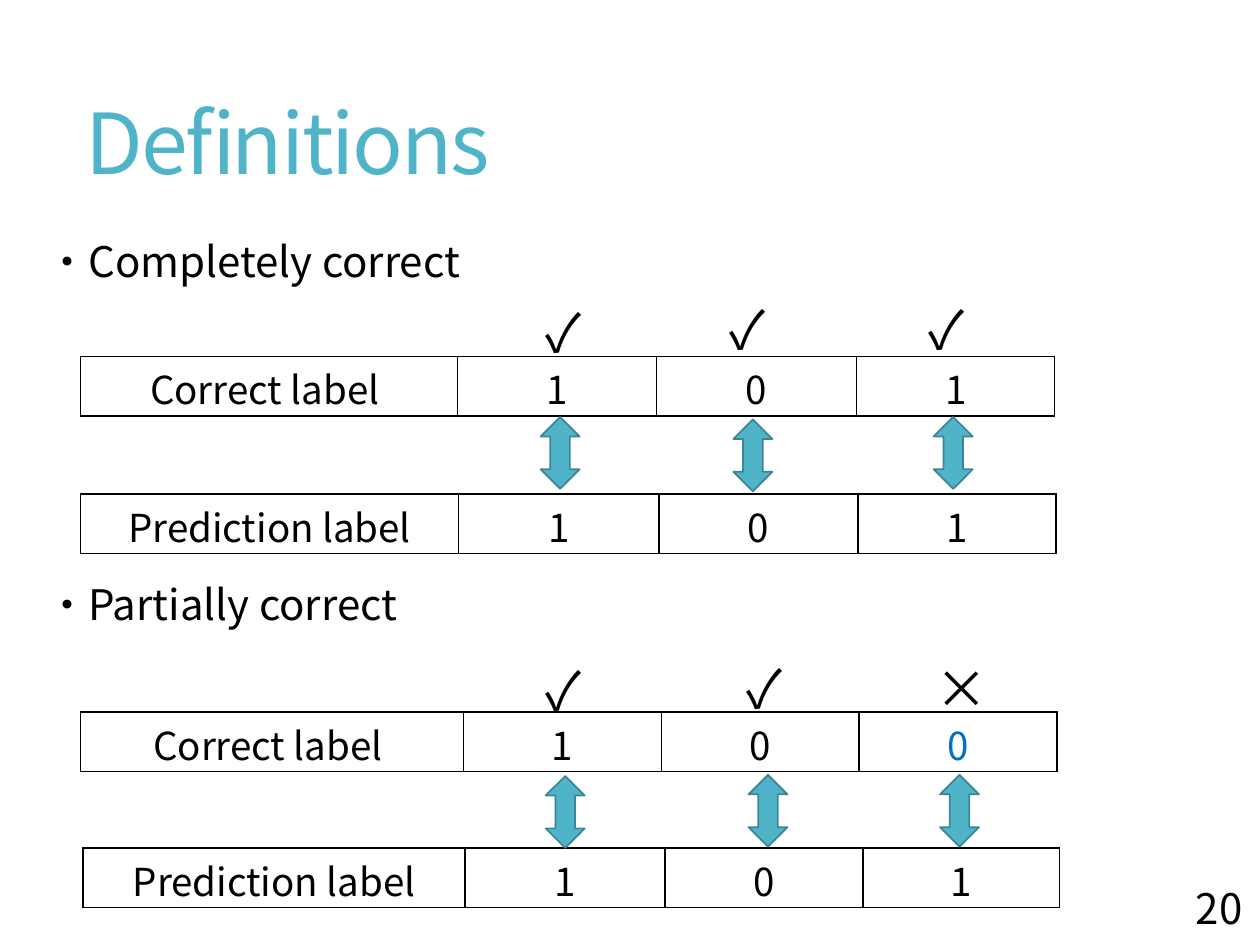
from dataclasses import dataclass

from lxml import etree
from pptx import Presentation
from pptx.dml.color import RGBColor
from pptx.enum.shapes import MSO_SHAPE
from pptx.enum.text import MSO_ANCHOR, MSO_AUTO_SIZE, PP_ALIGN
from pptx.oxml.ns import qn
from pptx.util import Inches, Pt

FONT = "Noto Sans CJK JP"
BLACK, TEAL, DARK_TEAL, BLUE = "000000", "50B4C8", "3B8594", "0070C0"
LEFT, CENTER, RIGHT = PP_ALIGN.LEFT, PP_ALIGN.CENTER, PP_ALIGN.RIGHT
TOP, MIDDLE = MSO_ANCHOR.TOP, MSO_ANCHOR.MIDDLE
GROW = MSO_AUTO_SIZE.SHAPE_TO_FIT_TEXT
NO_FIT = MSO_AUTO_SIZE.NONE
DOUBLE_ARROW = MSO_SHAPE.LEFT_RIGHT_ARROW
ROW_HEIGHT = 0.47
MARK_SIZE = (0.57, 0.61)
ARROW_SIZE = (0.57, 0.31)


@dataclass
class LabelRow:
    """A one-row table of a label and its binary values."""
    left: float
    top: float
    columns: tuple[float, ...]
    texts: tuple[str, ...]
    last_color: str = BLACK


@dataclass
class Mark:
    """A sign above a column of labels."""
    left: float
    top: float
    sign: str = "✓"


LABEL_ROWS = (
    LabelRow(0.64, 2.83, (2.99, 1.58, 1.59, 1.57), ("Correct label ", "1", "0", "1")),
    LabelRow(0.64, 3.92, (3.0, 1.59, 1.58, 1.57), ("Prediction label", "1", "0", "1")),
    LabelRow(0.64, 5.65, (3.04, 1.57, 1.57, 1.57), ("Correct label ", "1", "0", "0"), BLUE),
    LabelRow(0.66, 6.73, (3.03, 1.59, 1.57, 1.56), ("Prediction label", "1", "0", "1")),
)
MARKS = (
    Mark(4.23, 2.33), Mark(5.69, 2.31), Mark(7.27, 2.31),
    Mark(4.23, 5.17), Mark(5.83, 5.16), Mark(7.33, 5.16, "×"),
)
ARROWS = (
    (4.16, 3.44), (5.69, 3.46), (7.28, 3.44),
    (4.2, 6.29), (5.81, 6.28), (7.33, 6.28),
)


def rgb(color: str) -> RGBColor:
    """Turn a hex string into a colour."""
    return RGBColor.from_string(color)


def write_text(frame, text: str, *, size: float, color: str = BLACK,
               align=LEFT, gap: float = 0, line_spacing: float = 1.0,
               tracking: float = 0) -> None:
    """Write one paragraph per line, with a gap in points between them."""
    for index, line in enumerate(text.split("\n")):
        para = frame.add_paragraph() if index else frame.paragraphs[0]
        para.alignment = align
        para.line_spacing = line_spacing
        para.space_before = Pt(gap if index else 0)
        span = para.add_run()
        span.text = line
        span.font.name = FONT
        span.font.size = Pt(size)
        span.font.color.rgb = rgb(color)
        properties = span.font._element
        if tracking:
            properties.set("spc", str(round(tracking * 100)))
        east_asian = etree.SubElement(properties, qn("a:ea"))
        east_asian.set("typeface", FONT)


def add_text(page, place: tuple[float, ...], text: str, *, anchor=TOP,
             fit=NO_FIT, inset_top: float = 0.05, **text_format) -> None:
    """Add a wrapping text box."""
    box = page.shapes.add_textbox(*map(Inches, place))
    frame = box.text_frame
    frame.word_wrap = True
    frame.auto_size = fit
    frame.vertical_anchor = anchor
    frame.margin_top = Inches(inset_top)
    write_text(frame, text, **text_format)


def outline_cell(cell) -> None:
    """Give a cell a thin black border on every side."""
    properties = cell._tc.get_or_add_tcPr()
    for index, side in enumerate(("a:lnL", "a:lnR", "a:lnT", "a:lnB")):
        border = etree.Element(qn(side), w=str(Pt(1)))
        fill = etree.SubElement(border, qn("a:solidFill"))
        etree.SubElement(fill, qn("a:srgbClr"), val=BLACK)
        properties.insert(index, border)


def add_label_row(page, row: LabelRow) -> None:
    """Draw a row of labels as a table."""
    count = len(row.columns)
    place = (row.left, row.top, sum(row.columns), ROW_HEIGHT)
    table = page.shapes.add_table(1, count, *map(Inches, place)).table
    table.first_row = table.horz_banding = False
    for index, (width, text) in enumerate(zip(row.columns, row.texts)):
        table.columns[index].width = Inches(width)
        cell = table.cell(0, index)
        cell.margin_top, cell.margin_bottom = Inches(0.03), Inches(0)
        cell.fill.background()
        outline_cell(cell)
        color = row.last_color if index == count - 1 else BLACK
        write_text(cell.text_frame, text, size=22, color=color, align=CENTER)


def add_arrow(page, left: float, top: float) -> None:
    """Draw an upright double arrow between two rows."""
    arrow = page.shapes.add_shape(
        DOUBLE_ARROW, *map(Inches, (left, top, *ARROW_SIZE)))
    arrow.rotation = 90
    arrow.shadow.inherit = False
    arrow.fill.solid()
    arrow.fill.fore_color.rgb = rgb(TEAL)
    arrow.line.color.rgb = rgb(DARK_TEAL)
    arrow.line.width = Pt(1)


def add_title(page, text: str) -> None:
    """Place and format the title."""
    title = page.shapes.title
    title.left, title.top, title.width, title.height = map(
        Inches, (0.58, 0.4, 8.84, 1.54))
    title.text_frame.vertical_anchor = MIDDLE
    write_text(title.text_frame, text, size=48, color=TEAL,
               line_spacing=0.9, tracking=-1.2)


def build() -> None:
    """Build and save the deck."""
    deck = Presentation()
    deck.slide_width, deck.slide_height = Inches(10), Inches(7.5)
    page = deck.slides.add_slide(deck.slide_layouts[5])
    add_title(page, "Definitions")
    add_text(page, (0.27, 1.47, 8.73, 4.04),
             "・Completely correct\n・Partially correct",
             inset_top=0.4, size=24, gap=167)
    for row in LABEL_ROWS:
        add_label_row(page, row)
    for mark in MARKS:
        add_text(page, (mark.left, mark.top, *MARK_SIZE), mark.sign,
                 fit=GROW, size=30)
    for left, top in ARROWS:
        add_arrow(page, left, top)
    add_text(page, (8.69, 6.91, 1.27, 0.58), "20",
             anchor=MIDDLE, size=24, align=RIGHT)
    deck.save("out.pptx")


build()
